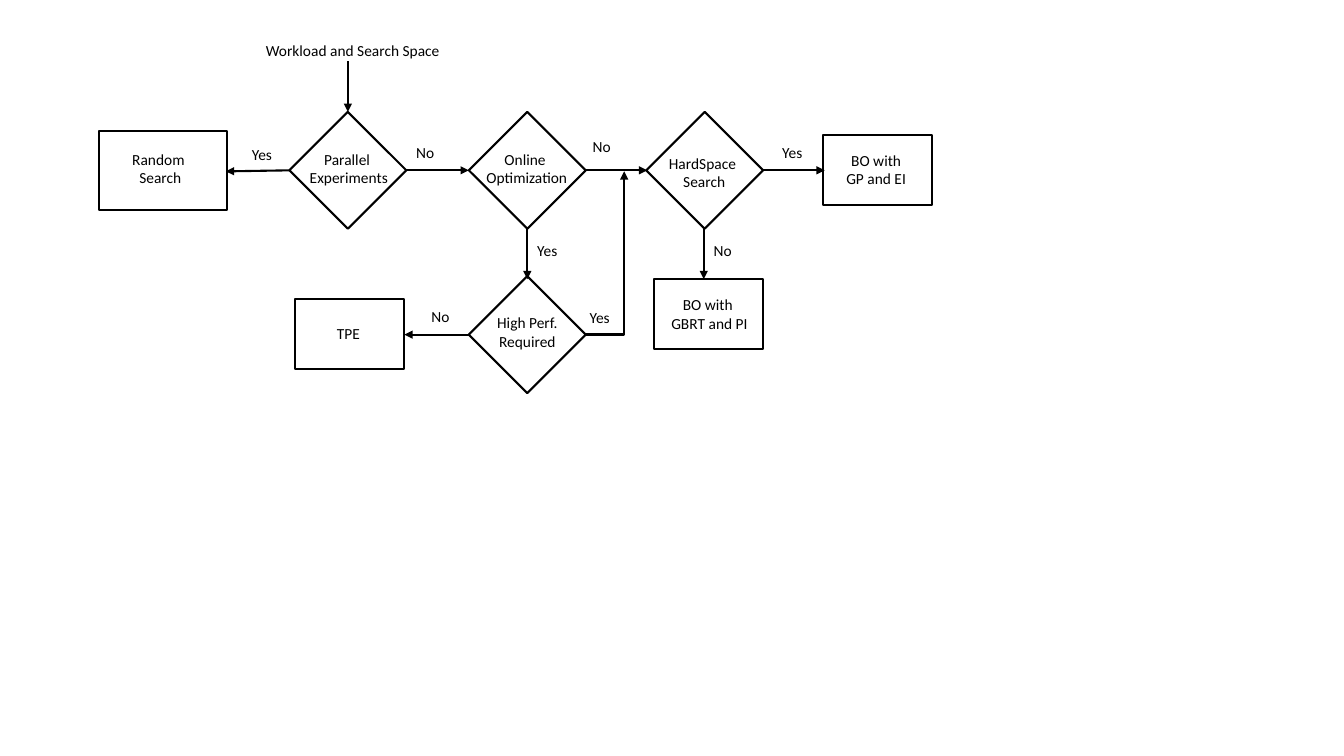
from lxml import etree
from pptx import Presentation
from pptx import util as u
from pptx.dml.color import RGBColor
from pptx.enum import shapes, text
from pptx.oxml import ns

BLACK = "000000"
DIAMOND = shapes.MSO_SHAPE.DIAMOND
RECTANGLE = shapes.MSO_SHAPE.RECTANGLE
STRAIGHT = shapes.MSO_CONNECTOR.STRAIGHT
ELBOW = shapes.MSO_CONNECTOR.ELBOW


def color(value):
    return RGBColor.from_string(value)


deck = Presentation()
deck.slide_width, deck.slide_height = u.Inches(13.33), u.Inches(7.5)
slide = deck.slides.add_slide(deck.slide_layouts[6])

side = 1.16
top_row, bottom_row = 1.11, 2.74
box_width, box_height = 1.08, 0.69
nodes = [
    (DIAMOND, 2.87, top_row, side, side),
    (DIAMOND, 4.65, top_row, side, side),
    (DIAMOND, 6.41, top_row, side, side),
    (DIAMOND, 4.65, bottom_row, side, side),
    (RECTANGLE, 0.98, 1.3, 1.27, 0.78),
    (RECTANGLE, 2.93, 2.97, box_width, box_height),
    (RECTANGLE, 6.49, 2.77, box_width, box_height),
    (RECTANGLE, 8.16, 1.34, box_width, box_height),
]
for kind, *place in nodes:
    node = slide.shapes.add_shape(kind, *map(u.Inches, place))
    node.shadow.inherit = False
    node.fill.background()
    node.line.color.rgb = color(BLACK)
    node.line.width = u.Pt(1.5)

arrows = [
    (STRAIGHT, 3.45, 0.61, 3.45, 1.11),
    (STRAIGHT, 4.03, 1.69, 4.65, 1.69),
    (STRAIGHT, 2.87, 1.69, 2.24, 1.7),
    (STRAIGHT, 5.23, 2.27, 5.23, 2.77),
    (STRAIGHT, 5.8, 1.69, 6.42, 1.69),
    (STRAIGHT, 6.98, 2.27, 6.98, 2.77),
    (STRAIGHT, 7.56, 1.69, 8.18, 1.69),
    (STRAIGHT, 4.65, 3.32, 4.01, 3.32),
    (ELBOW, 6.81, 2.71, 5.18, 2.32),
]
for kind, *ends in arrows:
    arrow = slide.shapes.add_connector(kind, *map(u.Inches, ends))
    arrow.line.color.rgb = color(BLACK)
    arrow.line.width = u.Pt(1.5)
    properties = arrow.element.spPr
    etree.SubElement(properties.find(ns.qn("a:ln")), ns.qn("a:tailEnd"), type="triangle")
    etree.SubElement(properties, ns.qn("a:effectLst"))
    if kind == ELBOW:
        properties.find(ns.qn("a:xfrm")).set("rot", "5400000")
        guides = properties.find(ns.qn("a:prstGeom")).find(ns.qn("a:avLst"))
        etree.SubElement(guides, ns.qn("a:gd"), name="adj1", fmla="val 700")

one_line, two_lines = 0.29, 0.47
yes_width, no_width = 0.41, 0.38
center, left = text.PP_ALIGN.CENTER, text.PP_ALIGN.LEFT
labels = [
    (2.53, 0.36, 1.94, center, ["Workload and Search Space"]),
    (2.97, 1.44, 0.98, center, ["Parallel ", "Experiments"]),
    (4.72, 1.44, 1.01, center, ["Online ", "Optimization"]),
    (6.53, 1.48, 0.91, center, ["HardSpace ", "Search"]),
    (4.82, 3.06, 0.82, center, ["High Perf.", "Required"]),
    (1.21, 1.44, 0.76, center, ["Random ", "Search"]),
    (3.24, 3.17, 0.43, center, ["TPE"]),
    (6.52, 2.88, 1.0, center, ["BO with", " GBRT and PI"]),
    (8.29, 1.45, 0.8, center, ["BO with", "GP and EI"]),
    (2.4, 1.39, yes_width, left, ["Yes"]),
    (5.23, 2.34, yes_width, left, ["Yes"]),
    (5.75, 3.01, yes_width, left, ["Yes"]),
    (7.66, 1.37, yes_width, left, ["Yes"]),
    (4.03, 1.37, no_width, left, ["No"]),
    (5.78, 1.31, no_width, left, ["No"]),
    (6.98, 2.34, no_width, left, ["No"]),
    (4.18, 3.0, no_width, left, ["No"]),
]
font_format = {"name": "Calibri", "size": u.Pt(11)}
for x, y, width, alignment, lines in labels:
    height = one_line if len(lines) == 1 else two_lines
    box = slide.shapes.add_textbox(*map(u.Inches, (x, y, width, height)))
    frame = box.text_frame
    frame.word_wrap = False
    frame.auto_size = text.MSO_AUTO_SIZE.SHAPE_TO_FIT_TEXT
    frame.text = "\n".join(lines)
    for para in frame.paragraphs:
        para.alignment = alignment
        for span in para.runs:
            for name, value in font_format.items():
                setattr(span.font, name, value)
            span.font.color.rgb = color(BLACK)

deck.save("out.pptx")
